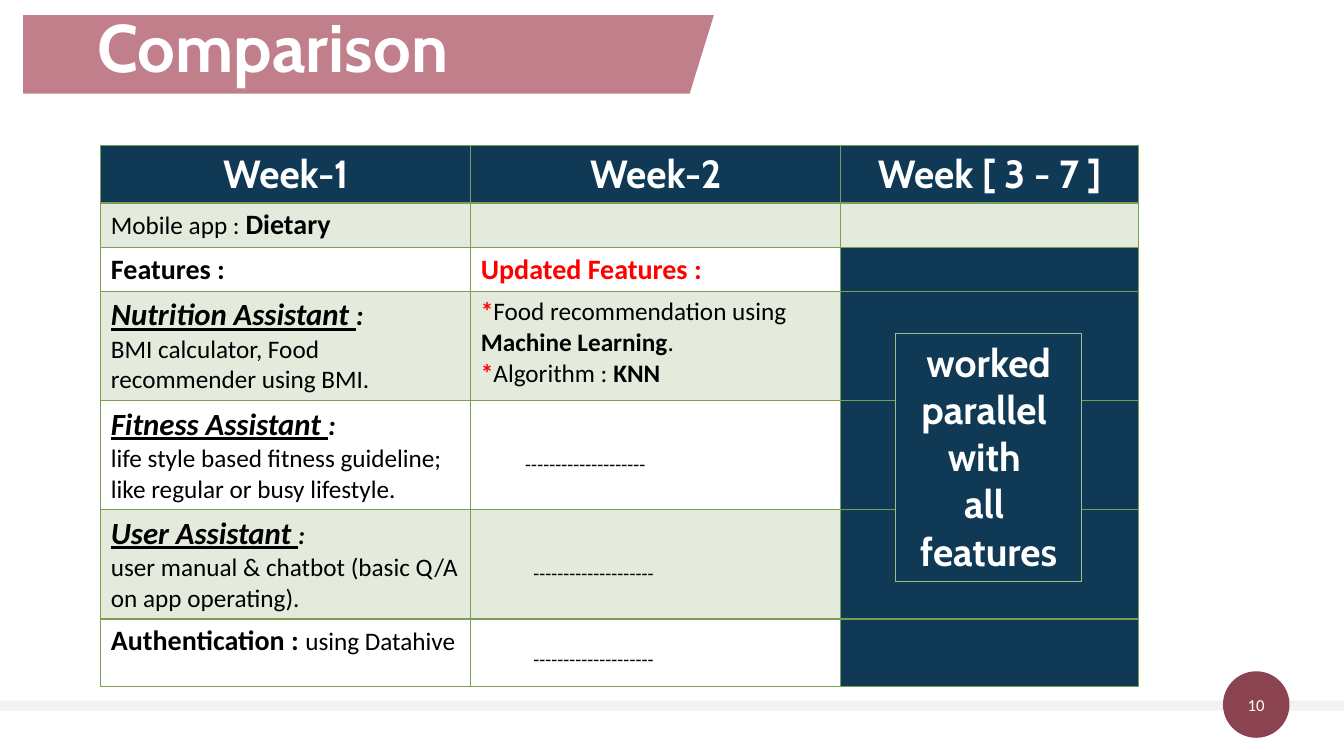
from lxml import etree
from pptx import Presentation
from pptx.dml.color import RGBColor
from pptx.enum.shapes import MSO_SHAPE
from pptx.enum.text import MSO_ANCHOR, PP_ALIGN
from pptx.oxml.ns import qn
from pptx.util import Inches, Pt

CENTER = PP_ALIGN.CENTER
TOP, MIDDLE = MSO_ANCHOR.TOP, MSO_ANCHOR.MIDDLE
RECT, OVAL = MSO_SHAPE.RECTANGLE, MSO_SHAPE.OVAL

NAVY, GREEN, PALE_GREEN = "0F3955", "7A9E56", "A2BC89"
ROSE, WINE, GRAY = "B2606E", "8A434F", "F2F2F2"
WHITE, BLACK, RED = "FFFFFF", "000000", "FF0000"

# Content: a cell is a list of paragraphs, a paragraph a list of runs,
# a run is (text, size, style letters: b, i, u, r for red)
TITLE = "Comparison"
PAGE = "10"
WEEKS = ["Week-1", "Week-2", "Week [ 3 - 7 ]"]
WEEK_1 = [
    [[("Mobile app : ", 18, ""), ("Dietary", 20, "b")]],
    [[("Features :", 20, "b")]],
    [[("Nutrition Assistant ", 22, "biu"), (":", 20, "bi")],
     [("BMI calculator, Food recommender using BMI.", 18, "")]],
    [[("Fitness Assistant ", 22, "biu"), (":", 20, "bi")],
     [("life style based fitness guideline; like regular or busy lifestyle.", 18, "")]],
    [[("User Assistant ", 22, "biu"), (":", 18, "bi")],
     [("user manual & chatbot (basic Q/A on app operating).", 18, "")]],
    [[("Authentication : ", 20, "b"), ("using Datahive", 18, "")]],
]
UNCHANGED = [[("--------------------", 14, "")]]
WEEK_2 = [
    [],
    [[("Updated Features :", 20, "br")]],
    [[("*", 18, "br"), ("Food recommendation using ", 18, ""),
      ("Machine Learning", 18, "b"), (".", 18, "")],
     [("*", 18, "br"), ("Algorithm : ", 18, ""), ("KNN", 18, "b")]],
    UNCHANGED, UNCHANGED, UNCHANGED,
]
UNCHANGED_INSETS = {4: (0.54, 0.52), 5: (0.62, 0.52), 6: (0.62, 0.29)}  # row: left, top
LATER_WEEKS = ["worked parallel ", "with ", "all ", "features"]

COLUMN_WIDTHS = [3.67, 3.67, 2.95]
ROW_HEIGHTS = [0.57, 0.44, 0.44, 1.08, 1.08, 1.08, 0.67]
TABLE_LEFT, TABLE_TOP = 1, 1.44
BANNER = [(0.23, 0.15), (7.08, 0.15), (6.84, 0.93), (0.23, 0.93)]


def rgb(value):
    return RGBColor.from_string(value)


def paint(fill, owner, color, opacity=100):
    """Solid fill; owner is the XML element that holds it."""
    fill.solid()
    fill.fore_color.rgb = rgb(color)
    if opacity < 100:
        tint = owner.find(qn("a:solidFill")).find(qn("a:srgbClr"))
        etree.SubElement(tint, qn("a:alpha"), val=str(opacity * 1000))


def write(paragraph, text, size, font="Calibri", color=BLACK, style=""):
    run = paragraph.add_run()
    run.text = text
    run.font.size = Pt(size)
    run.font.name = font
    run.font.bold = "b" in style
    run.font.italic = "i" in style
    run.font.underline = "u" in style
    run.font.color.rgb = rgb(RED if "r" in style else color)


def paragraphs(frame, count):
    return [frame.paragraphs[0]] + [frame.add_paragraph() for _ in range(count - 1)]


def no_insets(frame):
    frame.margin_left = frame.margin_right = frame.margin_top = frame.margin_bottom = 0


def finish(shape, color, opacity=100, line=None):
    shape.shadow.inherit = False
    paint(shape.fill, shape._element.spPr, color, opacity)
    if line:
        shape.line.color.rgb = rgb(line)
        shape.line.width = Pt(0.75)
    else:
        shape.line.fill.background()
    return shape


def add_block(kind, left, top, width, height, color, line=None):
    box = [Inches(v) for v in (left, top, width, height)]
    return finish(slide.shapes.add_shape(kind, *box), color, line=line)


def set_borders(cell, row):
    properties = cell._tc.get_or_add_tcPr()
    widths = {"L": 1, "R": 1, "T": 2 if row == 1 else 1, "B": 2 if row == 0 else 1}
    for place, (side, width) in enumerate(widths.items()):
        border = etree.Element(qn(f"a:ln{side}"), w=str(Pt(width)))
        solid = etree.SubElement(border, qn("a:solidFill"))
        etree.SubElement(solid, qn("a:srgbClr"), val=GREEN)
        properties.insert(place, border)


presentation = Presentation()
presentation.slide_width = Inches(13.33)
presentation.slide_height = Inches(7.5)
slide = presentation.slides.add_slide(presentation.slide_layouts[6])

# Footer bar and page number
add_block(RECT, 0, 6.95, 13.33, 0.1, GRAY)
page_frame = add_block(OVAL, 12.13, 6.66, 0.66, 0.66, WINE).text_frame
no_insets(page_frame)
page_frame.vertical_anchor = MIDDLE
page_frame.paragraphs[0].alignment = CENTER
write(page_frame.paragraphs[0], PAGE, 12, color=WHITE)

# Comparison table
comparison = slide.shapes.add_table(
    len(ROW_HEIGHTS), len(COLUMN_WIDTHS), Inches(TABLE_LEFT), Inches(TABLE_TOP),
    Inches(sum(COLUMN_WIDTHS)), Inches(sum(ROW_HEIGHTS))).table
for column, width in zip(comparison.columns, COLUMN_WIDTHS):
    column.width = Inches(width)
for table_row, height in zip(comparison.rows, ROW_HEIGHTS):
    table_row.height = Inches(height)

for row in range(len(ROW_HEIGHTS)):
    for col in range(len(COLUMN_WIDTHS)):
        cell = comparison.cell(row, col)
        properties = cell._tc.get_or_add_tcPr()
        if row == 0 or (col == 2 and row > 1):
            paint(cell.fill, properties, NAVY)
        elif row % 2:
            # the rows below the header alternate, starting tinted
            paint(cell.fill, properties, GREEN, 20)
        else:
            cell.fill.background()
        set_borders(cell, row)

for col, week in enumerate(WEEKS):
    header = comparison.cell(0, col)
    header.vertical_anchor = MIDDLE
    header.text_frame.paragraphs[0].alignment = CENTER
    write(header.text_frame.paragraphs[0], week, 28, "Cabin", WHITE, "b")

for col, entries in enumerate([WEEK_1, WEEK_2]):
    for row, entry in enumerate(entries, start=1):
        cell = comparison.cell(row, col)
        if entry is UNCHANGED:
            left, top = UNCHANGED_INSETS[row]
            cell.margin_left, cell.margin_top = Inches(left), Inches(top)
        for paragraph, runs in zip(paragraphs(cell.text_frame, len(entry)), entry):
            for text, size, style in runs:
                write(paragraph, text, size, style=style)

# Title banner
start, *corners = [(Inches(x), Inches(y)) for x, y in BANNER]
outline = slide.shapes.build_freeform(*start)
outline.add_line_segments(corners, close=True)
finish(outline.convert_to_shape(), ROSE, 80)

title_frame = slide.shapes.add_textbox(
    Inches(0.87), Inches(0), Inches(4.05), Inches(0.91)).text_frame
title_frame.word_wrap = True
write(title_frame.paragraphs[0], TITLE, 48, "Cabin", WHITE, "b")

# Note over the last column
note_frame = add_block(RECT, 8.88, 3.31, 1.85, 2.46, NAVY, PALE_GREEN).text_frame
note_frame.word_wrap = True
note_frame.vertical_anchor = TOP
for paragraph, line in zip(paragraphs(note_frame, len(LATER_WEEKS)), LATER_WEEKS):
    paragraph.alignment = CENTER
    write(paragraph, line, 28, "Cabin", WHITE, "b")

presentation.save("out.pptx")
